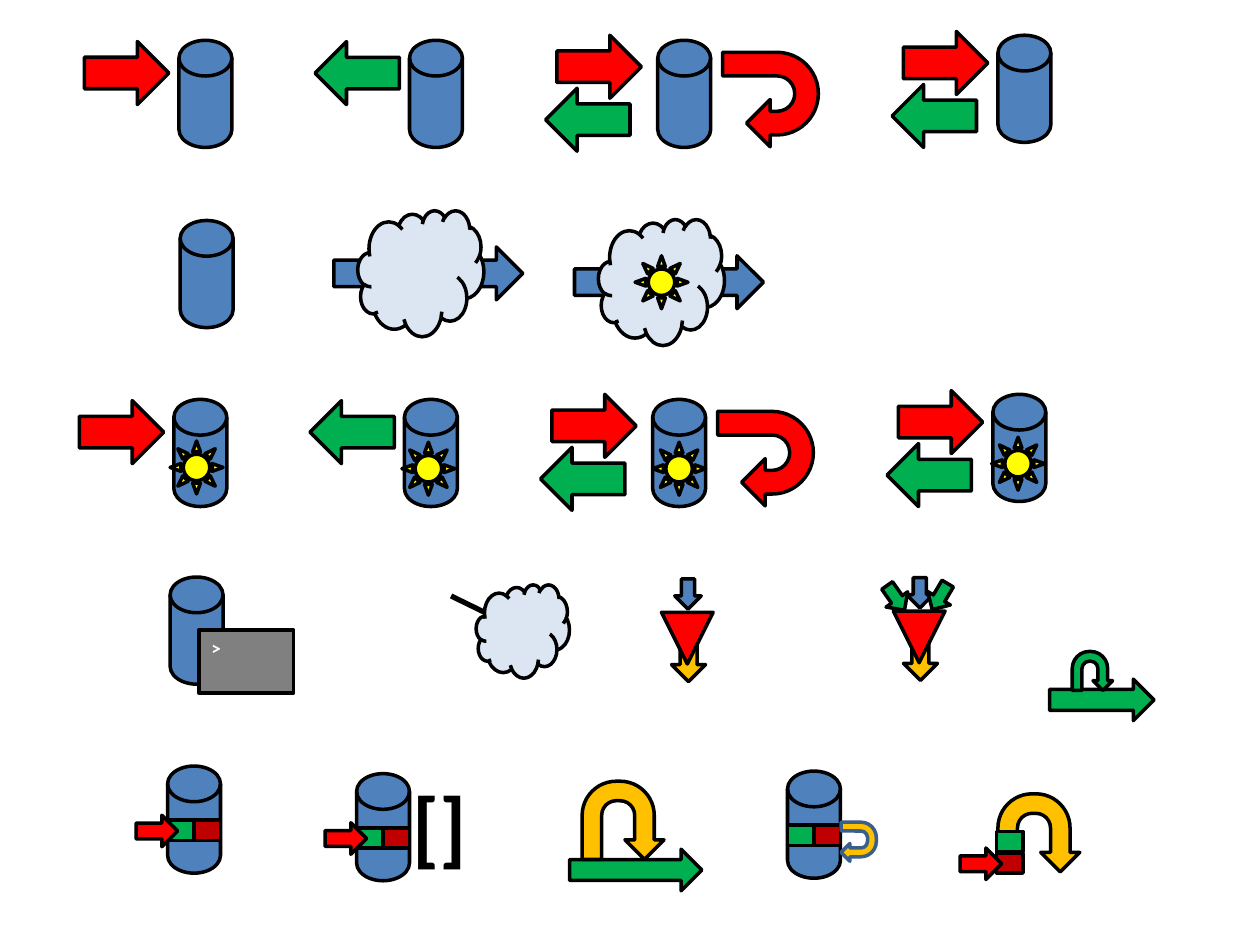
"""Build a slide of pipeline icons: stores, clouds, funnels, cells and loops."""
import lxml.etree
import pptx
import pptx.dml.color
import pptx.enum.shapes
import pptx.enum.text
import pptx.oxml.ns
import pptx.util

PX = 9144
FONT = "Calibri"
RGB = pptx.dml.color.RGBColor
BLACK = RGB(0x00, 0x00, 0x00)
WHITE = RGB(0xFF, 0xFF, 0xFF)
GRAY = RGB(0x80, 0x80, 0x80)
RED = RGB(0xFF, 0x00, 0x00)
DARK_RED = RGB(0xC0, 0x00, 0x00)
GREEN = RGB(0x00, 0xB0, 0x50)
BLUE = RGB(0x4F, 0x81, 0xBD)
EDGE_BLUE = RGB(0x3A, 0x5F, 0x8C)
TEXT_EDGE = RGB(0x05, 0x46, 0x97)
PALE = RGB(0xDC, 0xE6, 0xF2)
GOLD = RGB(0xFF, 0xC0, 0x00)
YELLOW = RGB(0xFF, 0xFF, 0x00)
KIND = pptx.enum.shapes.MSO_SHAPE
ALIGN = pptx.enum.text.PP_ALIGN


def px(*sizes):
    return [size * PX for size in sizes]


def add_form(slide, kind, box, fill, turn=0, edge=BLACK):
    form = slide.shapes.add_shape(kind, *px(*box))
    form.shadow.inherit = False
    form.rotation = turn
    form.fill.solid()
    form.fill.fore_color.rgb = fill
    form.line.color.rgb = edge
    form.line.width = pptx.util.Pt(2)
    return form


def add_arrow(slide, box, fill, turn=0):
    return add_form(slide, KIND.RIGHT_ARROW, box, fill, turn)


def add_loop(slide, box, fill, turn=0, edge=BLACK, reach=1):
    loop = add_form(slide, KIND.U_TURN_ARROW, box, fill, turn, edge)
    loop.adjustments[4] = reach


def add_disk(slide, x, y):
    add_form(slide, KIND.FLOWCHART_MAGNETIC_DISK, (x, y, 42, 85), BLUE)


def add_sun(slide, x, y):
    add_form(slide, KIND.SUN, (x, y, 42, 42), YELLOW)


def add_cloud(slide, x, y, size):
    add_form(slide, KIND.CLOUD, (x, y, size, size), PALE)


def add_cell(slide, x, y, fill):
    add_form(slide, KIND.RECTANGLE, (x, y, 21, 16), fill)


def add_flow(slide, x, y):
    add_arrow(slide, (x, y, 150, 42), BLUE)
    add_cloud(slide, x + 19, y - 29, 100)


def add_stores(slide, dx, dy):
    for x, y in ((67, 33), (717, 25), (442, 28)):
        add_arrow(slide, (x + dx, y + dy, 67, 50), RED)
    for x, y in ((250, 33), (708, 67), (433, 70)):
        add_arrow(slide, (x + dx, y + dy, 67, 50), GREEN, 180)
    add_loop(slide, (574 + dx, 41 + dy, 75, 76), RED, 90, reach=0.75)
    for x, y in ((142, 32), (325, 32), (522, 32), (792, 28)):
        add_disk(slide, x + dx, y + dy)


def add_funnel(slide, x, y, sides=()):
    add_arrow(slide, (x + 6, y + 26, 31, 27), GOLD, 90)
    add_arrow(slide, (x + 9, y - 25, 24, 21), BLUE, 90)
    for dx, dy, turn in sides:
        add_arrow(slide, (x + dx, y + dy, 24, 21), GREEN, turn)
    add_form(slide, KIND.FLOWCHART_MERGE, (x, y, 41, 41), RED)


def add_pair(slide, x, y):
    add_disk(slide, x, y)
    add_cell(slide, x + 21, y + 43, DARK_RED)
    add_cell(slide, x, y + 43, GREEN)


def add_input(slide, x, y):
    add_arrow(slide, (x, y, 33, 25), RED)


def add_stroke(slide, start, end):
    kind = pptx.enum.shapes.MSO_CONNECTOR.STRAIGHT
    stroke = slide.shapes.add_connector(kind, *px(*start, *end))
    stroke.line.color.rgb = BLACK
    stroke.line.width = pptx.util.Pt(3)
    lxml.etree.SubElement(stroke._element.spPr, pptx.oxml.ns.qn("a:effectLst"))


def set_text(form, text, size, color, align):
    form.text_frame.text = text
    line = form.text_frame.paragraphs[0]
    line.alignment = align
    font = line.runs[0].font
    font.name, font.size, font.bold = FONT, pptx.util.Pt(size), True
    font.color.rgb = color
    return line.runs[0]


def add_prompt(slide, box):
    panel = add_form(slide, KIND.FLOWCHART_PROCESS, box, GRAY)
    panel.text_frame.vertical_anchor = pptx.enum.text.MSO_ANCHOR.TOP
    set_text(panel, ">", 11, WHITE, ALIGN.LEFT)


def add_mark(slide, box):
    mark = slide.shapes.add_textbox(*px(*box))
    mark.text_frame.word_wrap = False
    mark.text_frame.auto_size = pptx.enum.text.MSO_AUTO_SIZE.SHAPE_TO_FIT_TEXT
    run = set_text(mark, "[]", 48, BLACK, ALIGN.CENTER)
    qn = pptx.oxml.ns.qn
    edge = lxml.etree.Element(qn("a:ln"), w=str(pptx.util.Pt(1)))
    fill = lxml.etree.SubElement(edge, qn("a:solidFill"))
    lxml.etree.SubElement(fill, qn("a:srgbClr"), val=str(TEXT_EDGE))
    run.font._element.insert(0, edge)


def main():
    deck = pptx.Presentation()
    deck.slide_width, deck.slide_height = px(1000, 750)
    slide = deck.slides.add_slide(deck.slide_layouts[6])

    add_stores(slide, 0, 0)
    add_disk(slide, 143, 175)
    add_flow(slide, 265, 196)
    add_flow(slide, 456, 203)
    add_sun(slide, 504, 203)

    add_stores(slide, -4, 285)
    for x, y in ((135, 350), (319, 351), (518, 351), (787, 347)):
        add_sun(slide, x, y)

    add_disk(slide, 135, 458)
    add_prompt(slide, (158, 500, 75, 50))
    add_stroke(slide, (358, 473), (399, 493))
    add_cloud(slide, 378, 464, 74)
    add_funnel(slide, 525, 486)
    add_funnel(slide, 709, 485, ((25, -22, 120.7), (-10, -21, 54.9)))
    add_arrow(slide, (833, 539, 83, 33), GREEN)
    add_loop(slide, (851, 517, 32, 31), GREEN)

    for x, y in ((133, 608), (283, 614)):
        add_pair(slide, x, y)
        add_input(slide, x - 25, y + 39)
    add_mark(slide, (317, 609, 64, 91))
    add_arrow(slide, (452, 674, 105, 33), GREEN)
    add_loop(slide, (462, 620, 65, 62), GOLD)
    add_pair(slide, 625, 612)
    add_loop(slide, (666, 654, 31, 28), GOLD, 90, EDGE_BLUE)
    add_loop(slide, (792, 630, 65, 62), GOLD)
    add_cell(slide, 791, 677, DARK_RED)
    add_cell(slide, 791, 660, GREEN)
    add_input(slide, 762, 673)

    deck.save("out.pptx")


if __name__ == "__main__":
    main()
